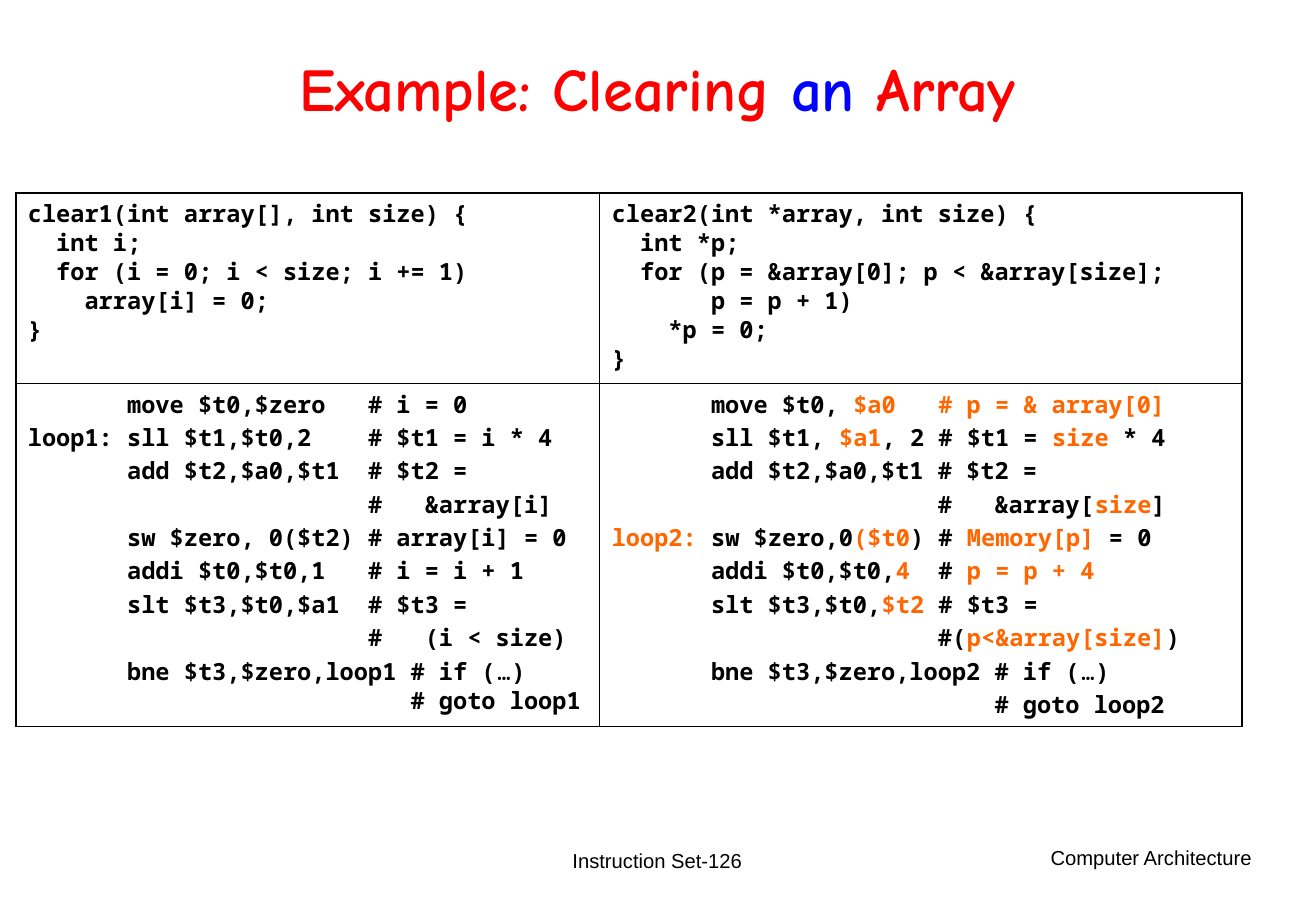
from copy import deepcopy

from lxml import etree
from pptx import Presentation
from pptx.dml.color import RGBColor
from pptx.enum.text import MSO_ANCHOR, PP_ALIGN
from pptx.oxml.ns import qn
from pptx.util import Inches, Pt

CENTER, RIGHT = PP_ALIGN.CENTER, PP_ALIGN.RIGHT
TOP, MIDDLE = MSO_ANCHOR.TOP, MSO_ANCHOR.MIDDLE

BLACK = RGBColor(0x00, 0x00, 0x00)
RED = RGBColor(0xFF, 0x00, 0x00)
BLUE = RGBColor(0x00, 0x00, 0xFF)
ORANGE = RGBColor(0xFF, 0x66, 0x00)

CODE_FONT = "Noto Sans Mono"
ELLIPSIS_FONT = "Quicksand"
OUTER_BORDER, INNER_BORDER = 1.08, 0.45
COLUMN_WIDTHS = (4.81, 5.29)
ROW_HEIGHTS = (1.57, 2.82)

# A bar in a line switches between plain and highlighted text.
CLEAR1_C = """clear1(int array[], int size) {
  int i;
  for (i = 0; i < size; i += 1)
    array[i] = 0;
}""".split("\n")

CLEAR2_C = """clear2(int *array, int size) {
  int *p;
  for (p = &array[0]; p < &array[size];
       p = p + 1)
    *p = 0;
}""".split("\n")

CLEAR1_ASM = [
    "       move $t0,$zero   # i = 0",
    "loop1: sll $t1,$t0,2    # $t1 = i * 4",
    "       add $t2,$a0,$t1  # $t2 =",
    "                        #   &array[i]",
    "       sw $zero, 0($t2) # array[i] = 0",
    "       addi $t0,$t0,1   # i = i + 1",
    "       slt $t3,$t0,$a1  # $t3 =",
    "                        #   (i < size)",
    "       bne $t3,$zero,loop1 # if (…)\n"
    "                           # goto loop1",
]

CLEAR2_ASM = [
    "       move $t0, |$a0   # p = & array[0]",
    "       sll $t1, |$a1|, 2 # $t1 =| size| * 4",
    "       add $t2,$a0,$t1 # $t2 =",
    "                       #   &array[|size|]",
    "|loop2:| sw $zero,0|($t0|) # |Memory[p]| = 0",
    "       addi $t0,$t0,|4 | # |p = p + 4",
    "       slt $t3,$t0,|$t2| # $t3 =",
    "                       #(|p<&array[size]|)",
    "       bne $t3,$zero,loop2 # if (…)",
    "                           # goto loop2",
]


def add_styled_run(paragraph, text, font, size, color, bold=False):
    run = paragraph.add_run()
    run.text = text
    run.font.name = font
    run.font.size = Pt(size)
    run.font.bold = bold
    run.font.color.rgb = color
    return run


def add_label(slide, left, top, width, height, align, anchor):
    """Add an empty one-paragraph text box and return its paragraph."""
    box = slide.shapes.add_textbox(
        Inches(left), Inches(top), Inches(width), Inches(height))
    frame = box.text_frame
    frame.word_wrap = True
    frame.vertical_anchor = anchor
    frame.paragraphs[0].alignment = align
    return frame.paragraphs[0]


def write_code_line(paragraph, line):
    """Write one marked-up line; a newline inside it is a soft break."""
    paragraph.line_spacing = 0.9
    for row_number, row in enumerate(line.split("\n")):
        if row_number:
            paragraph.add_line_break()
            paragraph._p[-1].append(deepcopy(run._r.get_or_add_rPr()))
        for index, part in enumerate(row.split("|")):
            color = ORANGE if index % 2 else BLACK
            for piece in filter(None, part.partition("…")):
                font = ELLIPSIS_FONT if piece == "…" else CODE_FONT
                run = add_styled_run(paragraph, piece, font, 14, color, True)


def write_code(cell, lines, space_before):
    frame = cell.text_frame
    for number, line in enumerate(lines):
        paragraph = frame.add_paragraph() if number else frame.paragraphs[0]
        if number and space_before:
            paragraph.space_before = Pt(space_before)
        write_code_line(paragraph, line)


def set_borders(cell, widths):
    """Set left, right, top and bottom border widths, in points."""
    properties = cell._tc.get_or_add_tcPr()
    for position, (side, width) in enumerate(zip("LRTB", widths)):
        border = etree.Element(qn(f"a:ln{side}"), w=str(Pt(width)))
        fill = etree.SubElement(border, qn("a:solidFill"))
        etree.SubElement(fill, qn("a:srgbClr"), val=str(BLACK))
        properties.insert(position, border)


def add_code_table(slide):
    listings = [(CLEAR1_C, CLEAR2_C), (CLEAR1_ASM, CLEAR2_ASM)]
    table = slide.shapes.add_table(
        2, 2, Inches(0.13), Inches(1.59),
        Inches(sum(COLUMN_WIDTHS)), Inches(sum(ROW_HEIGHTS))).table
    table.first_row = table.horz_banding = False
    for column, width in zip(table.columns, COLUMN_WIDTHS):
        column.width = Inches(width)
    for row, height in zip(table.rows, ROW_HEIGHTS):
        row.height = Inches(height)

    edges = (OUTER_BORDER, INNER_BORDER, OUTER_BORDER)
    for r, (row_listings, space_before) in enumerate(zip(listings, (0, 2.6))):
        for c, lines in enumerate(row_listings):
            cell = table.cell(r, c)
            cell.margin_left = cell.margin_right = Inches(0.1)
            cell.margin_top = cell.margin_bottom = Inches(0.05)
            cell.fill.background()
            set_borders(cell, (*edges[c:c + 2], *edges[r:r + 2]))
            write_code(cell, lines, space_before)


def add_title(slide):
    title = add_label(slide, 0.81, 0.27, 9.21, 0.99, CENTER, MIDDLE)
    title.line_spacing = 0.85
    for text, color in (("Example: Clearing ", RED), ("an", BLUE),
                        (" Array", RED)):
        add_styled_run(title, text, "Comic Neue", 36, color, True)


def add_footers(slide):
    course = add_label(slide, 8.12, 6.91, 2.29, 0.5, RIGHT, TOP)
    page = add_label(slide, 3.7, 6.83, 3.43, 0.5, CENTER, MIDDLE)
    for paragraph, text in ((course, "Computer Architecture"),
                            (page, "Instruction Set-126")):
        add_styled_run(paragraph, text, "Arial", 12, BLACK)


def main():
    presentation = Presentation()
    presentation.slide_width = Inches(10.84)
    presentation.slide_height = Inches(7.5)
    slide = presentation.slides.add_slide(presentation.slide_layouts[6])
    add_footers(slide)
    add_title(slide)
    add_code_table(slide)
    presentation.save("out.pptx")


if __name__ == "__main__":
    main()
